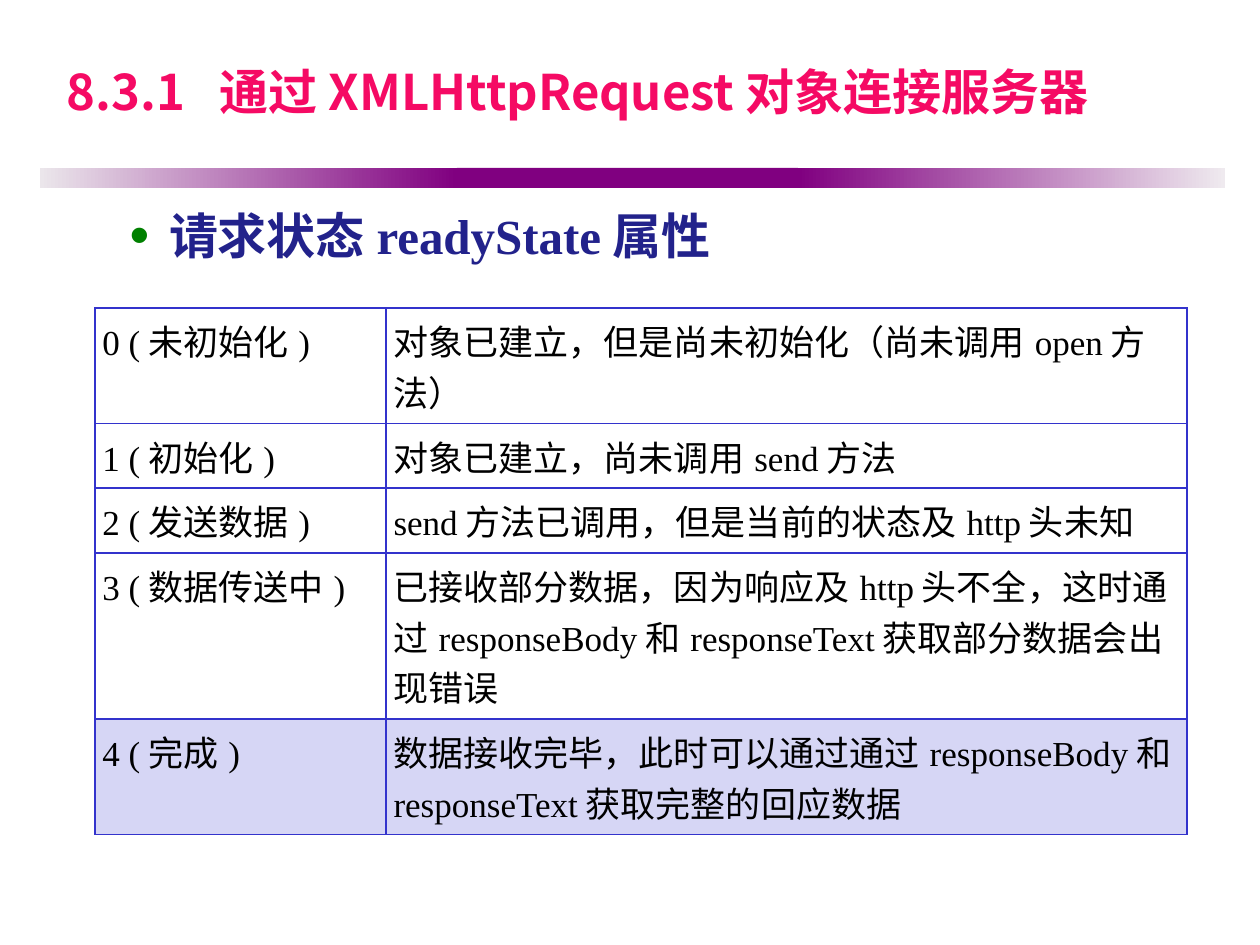
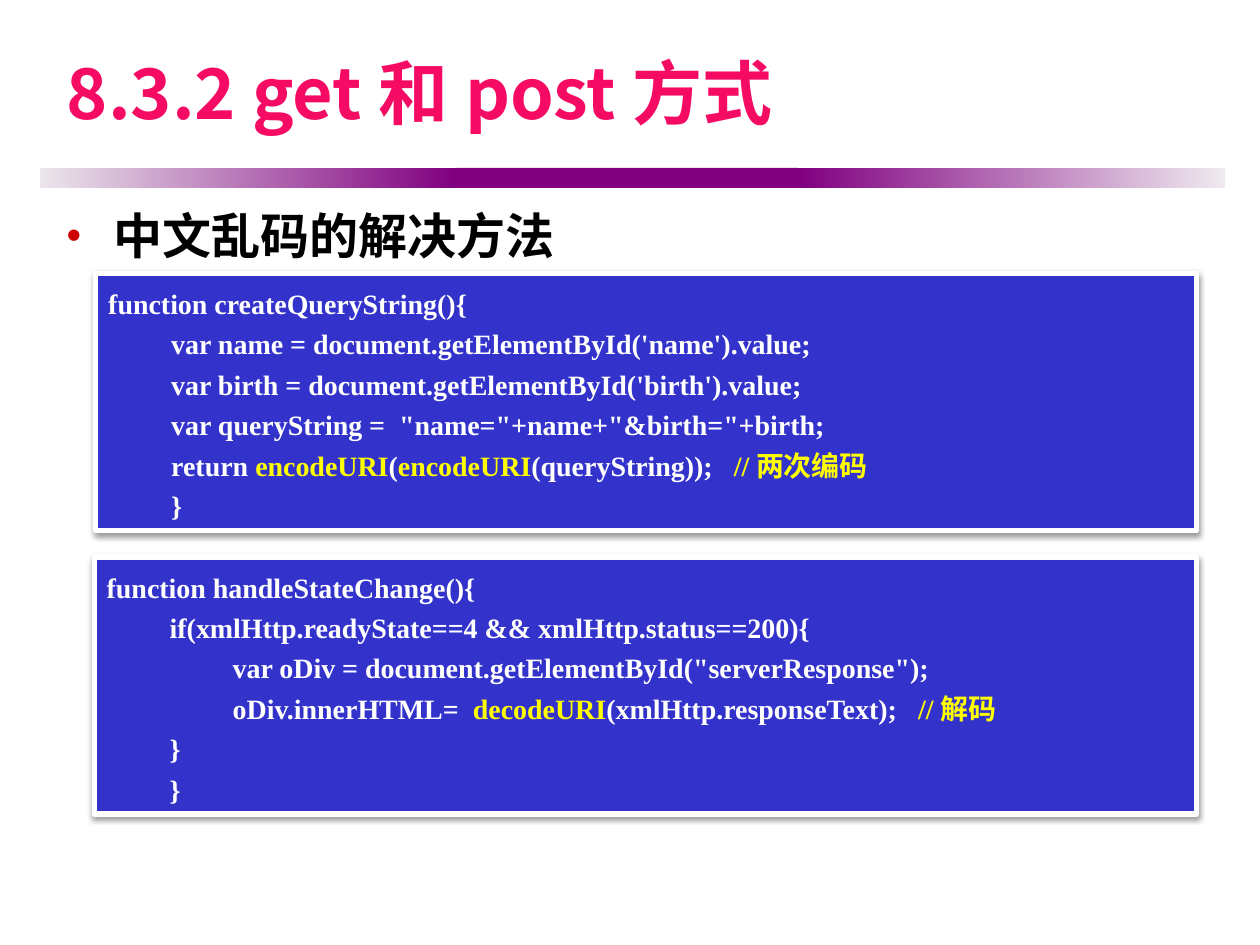
from lxml.etree import SubElement
from pptx import Presentation
from pptx.dml.color import RGBColor
from pptx.enum.shapes import MSO_SHAPE
from pptx.enum.text import MSO_ANCHOR, MSO_AUTO_SIZE, PP_ALIGN
from pptx.oxml import parse_xml
from pptx.oxml.ns import nsdecls, qn
from pptx.util import Pt

PINK = RGBColor(0xF5, 0x0A, 0x64)
PURPLE = RGBColor(0x80, 0x00, 0x80)
PALE_LEFT = RGBColor(0xEB, 0xE6, 0xEB)
PALE_RIGHT = RGBColor(0xEF, 0xEA, 0xEF)
NAVY = RGBColor(0x22, 0x22, 0x8B)
BLUE = RGBColor(0x33, 0x33, 0xCC)
LAVENDER = RGBColor(0xD6, 0xD6, 0xF5)
GREEN = RGBColor(0x00, 0x80, 0x00)
RED = RGBColor(0xCC, 0x00, 0x00)
YELLOW = RGBColor(0xFF, 0xFF, 0x00)
WHITE = RGBColor(0xFF, 0xFF, 0xFF)
BLACK = RGBColor(0x00, 0x00, 0x00)
CJK_FONT = "Noto Sans CJK SC"
LATIN_FONT = "Times New Roman"


def format_runs(paragraph, size, color, bold=True, latin=LATIN_FONT):
    paragraph.alignment = PP_ALIGN.LEFT
    for run in paragraph.runs:
        run.font.size = Pt(size)
        run.font.bold = bold
        run.font.color.rgb = color
        run.font.name = latin
        SubElement(run.font._element, qn("a:ea")).set("typeface", CJK_FONT)


def add_heading(slide, text, height, color, indent, hanging, bullet_color, bullet_size):
    heading = slide.shapes.add_textbox(Pt(31), Pt(113.8), Pt(663), Pt(height))
    heading.text_frame.word_wrap = True
    paragraph = heading.text_frame.paragraphs[0]
    paragraph.text = text
    format_runs(paragraph, 28, color)
    properties = paragraph._p.get_or_add_pPr()
    properties.set("marL", str(Pt(indent)))
    properties.set("indent", str(-Pt(hanging)))
    bullet_fill = SubElement(properties, qn("a:buClr"))
    SubElement(bullet_fill, qn("a:srgbClr")).set("val", str(bullet_color))
    SubElement(properties, qn("a:buSzPct")).set("val", str(bullet_size * 1000))
    SubElement(properties, qn("a:buFont")).set("typeface", "Arial")
    SubElement(properties, qn("a:buChar")).set("char", "•")


prs = Presentation()
prs.slide_width, prs.slide_height = Pt(720), Pt(540)
title_only = prs.slide_layouts[5]

titles = [("8.3.1  通过XMLHttpRequest对象连接服务器", 28), ("8.3.2 get和post方式", 40)]
for title_text, title_size in titles:
    title = prs.slides.add_slide(title_only).shapes.title
    title.left, title.top, title.width, title.height = Pt(31), Pt(12.2), Pt(652.3), Pt(80)
    title.text_frame.text = title_text
    title.text_frame.auto_size = MSO_AUTO_SIZE.NONE
    title.text_frame.vertical_anchor = MSO_ANCHOR.MIDDLE
    format_runs(title.text_frame.paragraphs[0], title_size, PINK, latin=CJK_FONT)
state_slide, encoding_slide = prs.slides

band_parts = [
    (23, 238, (PALE_LEFT, PURPLE)),
    (261, 195, None),
    (456, 244, (PURPLE, PALE_RIGHT)),
]
for left, width, fade in band_parts:
    band = state_slide.shapes.add_shape(MSO_SHAPE.RECTANGLE, Pt(left), Pt(95.9), Pt(width), Pt(11.5))
    band.shadow.inherit = False
    band.line.fill.background()
    if fade:
        band.fill.gradient()
        band.fill.gradient_angle = 0
        for stop, color in zip(band.fill.gradient_stops, fade):
            stop.color.rgb = color
    else:
        band.fill.solid()
        band.fill.fore_color.rgb = PURPLE
    title_only.shapes.element.append(band.element)

add_heading(state_slide, "请求状态readyState属性", 84, NAVY, 58.5, 22.5, GREEN, 115)

states = [
    ("0 (未初始化)", "对象已建立，但是尚未初始化（尚未调用open方法）", 66),
    ("1 (初始化)", "对象已建立，尚未调用send方法", 37),
    ("2 (发送数据)", "send方法已调用，但是当前的状态及http头未知", 37),
    ("3 (数据传送中)", "已接收部分数据，因为响应及http头不全，这时通过responseBody和responseText获取部分数据会出现错误", 95),
    ("4 (完成)", "数据接收完毕，此时可以通过通过responseBody和responseText获取完整的回应数据", 66),
]
state_table = state_slide.shapes.add_table(
    len(states), 2, Pt(54.2), Pt(176), Pt(624), Pt(301)
).table
state_table.first_row = False
state_table.horz_banding = False
state_table.columns[0].width, state_table.columns[1].width = Pt(166.4), Pt(457.6)
for row, (state, meaning, row_height) in enumerate(states):
    state_table.rows[row].height = Pt(row_height)
    for column, text in enumerate((state, meaning)):
        cell = state_table.cell(row, column)
        cell.margin_left = cell.margin_right = Pt(4.3)
        cell.margin_top = cell.margin_bottom = Pt(4)
        if row == len(states) - 1:
            cell.fill.solid()
            cell.fill.fore_color.rgb = LAVENDER
        else:
            cell.fill.background()
        paragraph = cell.text_frame.paragraphs[0]
        paragraph.text = text
        paragraph.line_spacing = Pt(28.9)
        format_runs(paragraph, 20, BLACK, bold=False)
        for position, side in enumerate("LRTB"):
            cell._tc.get_or_add_tcPr().insert(position, parse_xml(
                f'<a:ln{side} {nsdecls("a")} w="{Pt(1)}"><a:solidFill>'
                f'<a:srgbClr val="{BLUE}"/></a:solidFill></a:ln{side}>'))

add_heading(encoding_slide, "中文乱码的解决方法", 48, BLACK, 27, 27, RED, 85)

query_code = [
    (0, "function createQueryString(){"),
    (1, "var name = document.getElementById('name').value;"),
    (1, "var birth = document.getElementById('birth').value;"),
    (1, 'var queryString =  "name="+name+"&birth="+birth;'),
    (1, "return |encodeURI|(|encodeURI|(queryString));   |//两次编码"),
    (1, "}"),
]
response_code = [
    (0, "function handleStateChange(){"),
    (1, "if(xmlHttp.readyState==4 && xmlHttp.status==200){"),
    (2, 'var oDiv = document.getElementById("serverResponse");'),
    (2, "oDiv.innerHTML=  |decodeURI|(xmlHttp.responseText);   |//解码"),
    (1, "}"),
    (1, "}"),
]
for left, top, code in [(53.9, 318.3, response_code), (54.8, 156.2, query_code)]:
    panel = encoding_slide.shapes.add_shape(
        MSO_SHAPE.RECTANGLE, Pt(left), Pt(top), Pt(683.8 - left), Pt(146.9))
    panel.fill.solid()
    panel.fill.fore_color.rgb = BLUE
    panel.line.color.rgb = WHITE
    panel.line.width = Pt(3)
    panel.shadow.inherit = False
    panel.element.spPr.find(qn("a:effectLst")).append(parse_xml(
        f'<a:outerShdw {nsdecls("a")} blurRad="{Pt(3.1)}" dist="{Pt(1.6)}" dir="5400000" rotWithShape="0">'
        f'<a:srgbClr val="{BLACK}"><a:alpha val="38000"/></a:srgbClr></a:outerShdw>'))
    frame = panel.text_frame
    frame.word_wrap = True
    frame.vertical_anchor = MSO_ANCHOR.TOP
    for number, (level, line) in enumerate(code):
        paragraph = frame.add_paragraph() if number else frame.paragraphs[0]
        paragraph.line_spacing = Pt(23.1)
        paragraph._p.get_or_add_pPr().set("marL", str(Pt(36 * level)))
        for segment in line.split("|"):
            paragraph.add_run().text = segment
        format_runs(paragraph, 16, WHITE)
        for highlight in paragraph.runs[1::2]:
            highlight.font.color.rgb = YELLOW

prs.save("out.pptx")
